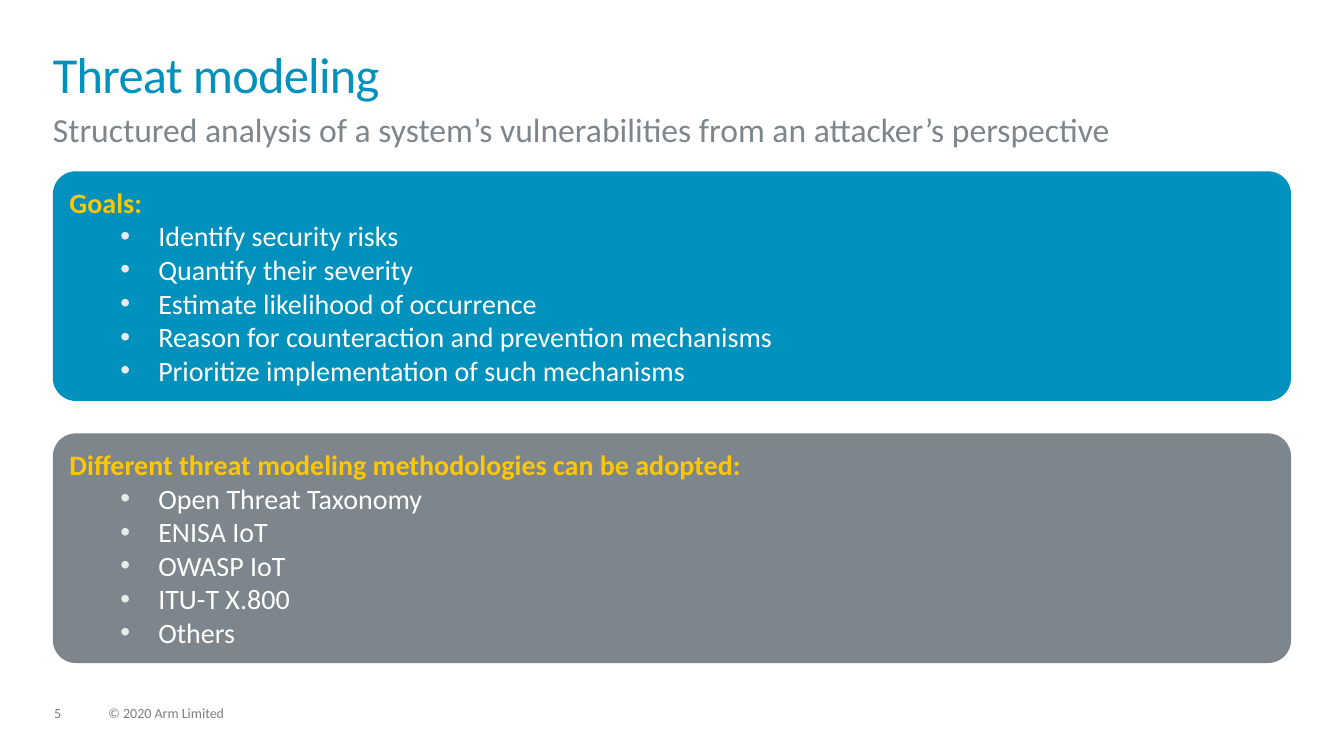
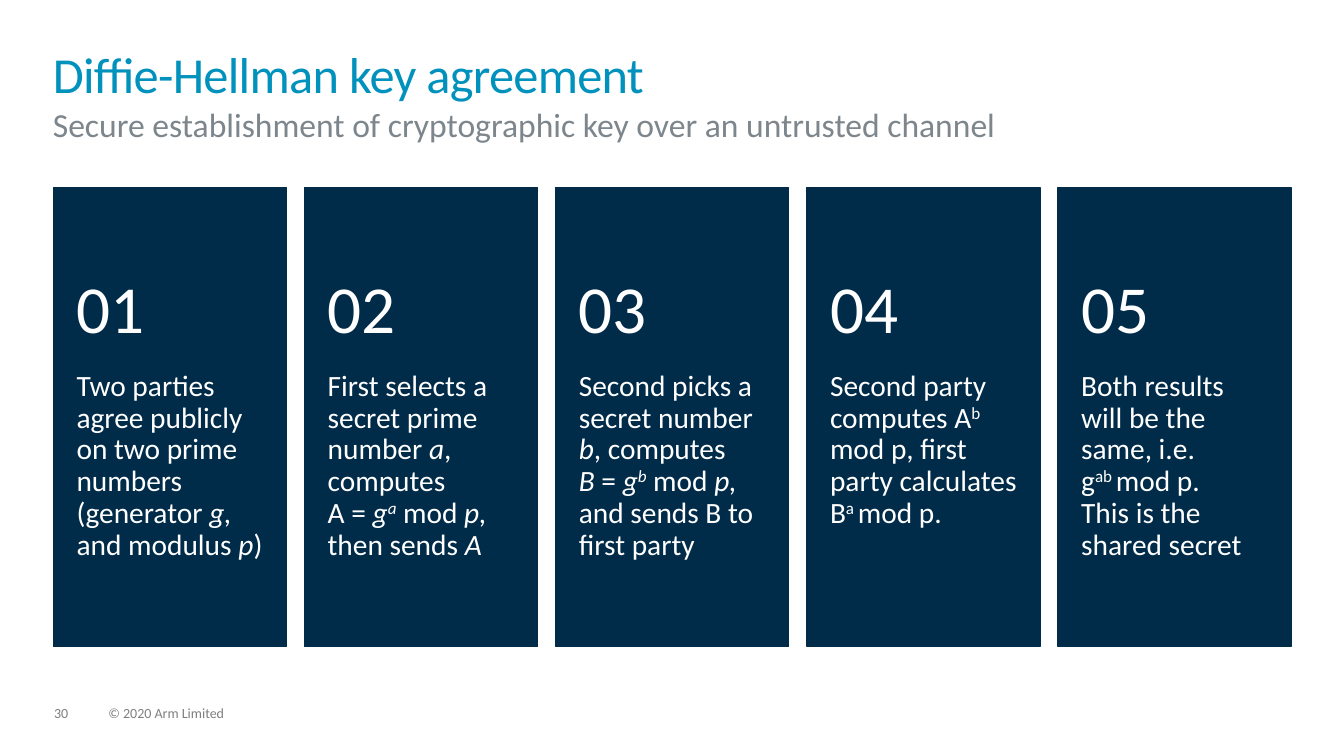
from pptx import Presentation
from pptx.dml.color import RGBColor
from pptx.enum.shapes import MSO_SHAPE
from pptx.enum.text import MSO_ANCHOR, PP_ALIGN
from pptx.oxml.ns import qn
from pptx.util import Pt
from lxml import etree

RECT = MSO_SHAPE.RECTANGLE
ROUND = MSO_SHAPE.ROUNDED_RECTANGLE
TOP = MSO_ANCHOR.TOP
MIDDLE = MSO_ANCHOR.MIDDLE
LEFT = PP_ALIGN.LEFT

HUES = {
    "blue": "0091BD",
    "gray": "7D868C",
    "foot": "7F7F7F",
    "navy": "002B49",
    "gold": "FFC700",
    "white": "FFFFFF",
    "dot": "E5ECEB",
}
FACE = "Calibri"
EDGE = 37.8
WIDE = 884.4


def hue(name):
    return RGBColor.from_string(HUES[name])


def add_dot(para, color):
    props = para._p.get_or_add_pPr()
    props.set("marL", str(Pt(63.4)))
    props.set("indent", str(Pt(-27)))
    tint = etree.SubElement(props, qn("a:buClr"))
    etree.SubElement(tint, qn("a:srgbClr")).set("val", HUES[color])
    etree.SubElement(props, qn("a:buFont")).set("typeface", "Arial")
    etree.SubElement(props, qn("a:buChar")).set("char", "•")


def write(frame, text, size=20, color="white", bold=False, lead=1.0,
          track=0, dot=None):
    """Underscores enclose italics; carets enclose superscripts."""
    para = frame.add_paragraph() if frame.text else frame.paragraphs[0]
    para.alignment = LEFT
    para.line_spacing = lead
    if dot:
        add_dot(para, dot)
    for i, part in enumerate(text.split("_")):
        for j, piece in enumerate(part.split("^")):
            for k, line in enumerate(piece.split("\n")):
                if k:
                    para.add_line_break()
                if not line:
                    continue
                run = para.add_run()
                run.text = line
                font = run.font
                font.name, font.size, font.bold = FACE, Pt(size), bold
                font.italic = i % 2 == 1
                font.color.rgb = hue(color)
                props = run._r.get_or_add_rPr()
                if j % 2:
                    props.set("baseline", "30000")
                if track:
                    props.set("spc", str(track))


class Deck:
    def __init__(self):
        self.prs = Presentation()
        self.prs.slide_width, self.prs.slide_height = Pt(960), Pt(540)
        self.slide = None

    def start(self, title, sub, page, lead=1.0):
        self.slide = self.prs.slides.add_slide(self.prs.slide_layouts[6])
        self.label(38.6, 504.5, 24.5, 11, str(page), size=10, color="foot", lead=0.9)
        self.label(77.4, 504.5, 123, 11, "© 2020 Arm Limited",
                   size=10, color="foot", lead=0.9)
        self.label(EDGE, 37.5, WIDE, 40.3, title,
                   size=36, color="blue", lead=0.85, track=-50)
        self.label(EDGE, 77.8, WIDE, 27.4, sub, size=24, color="gray", lead=lead)

    def label(self, x, y, w, h, text, pad=(0, 0, 0, 0), anchor=TOP, **style):
        box = self.slide.shapes.add_textbox(Pt(x), Pt(y), Pt(w), Pt(h))
        frame = box.text_frame
        frame.word_wrap = True
        frame.vertical_anchor = anchor
        (frame.margin_left, frame.margin_top,
         frame.margin_right, frame.margin_bottom) = map(Pt, pad)
        write(frame, text, **style)

    def shape(self, kind, x, y, w, h, fill, line=None):
        item = self.slide.shapes.add_shape(kind, Pt(x), Pt(y), Pt(w), Pt(h))
        item.shadow.inherit = False
        item.fill.solid()
        item.fill.fore_color.rgb = hue(fill)
        if line:
            item.line.color.rgb = hue(line)
            item.line.width = Pt(1)
        else:
            item.line.fill.background()
        return item

    def panel(self, y, fill, head, points):
        item = self.shape(ROUND, EDGE, y, WIDE, 164, fill)
        item.adjustments[0] = 0.1
        frame = item.text_frame
        frame.word_wrap = True
        frame.vertical_anchor = MIDDLE
        write(frame, head, color="gold", bold=True)
        for point in points:
            write(frame, point, dot="dot")

    def card(self, index, text):
        x, w = 38.2 + 179.4 * index, 166.4
        self.shape(RECT, x, 134, w, 328, "navy", line="navy")
        self.label(x, 265, w, 196.5, text, pad=(16.5, 0, 16, 26),
                   size=21, lead=0.9)
        self.label(x, 183, w, 80, f"{index + 1:02}", pad=(16.5, 13, 16.5, 13),
                   anchor=MIDDLE, size=48, lead=0.9)


def main():
    deck = Deck()
    deck.start("Threat modeling",
               "Structured analysis of a system’s vulnerabilities from an attacker’s perspective",
               5)
    deck.panel(122.4, "blue", "Goals:", [
        "Identify security risks",
        "Quantify their severity",
        "Estimate likelihood of occurrence",
        "Reason for counteraction and prevention mechanisms",
        "Prioritize implementation of such mechanisms",
    ])
    deck.panel(309.6, "gray", "Different threat modeling methodologies can be adopted:", [
        "Open Threat Taxonomy",
        "ENISA IoT",
        "OWASP IoT",
        "ITU-T X.800",
        "Others",
    ])

    deck.start("Diffie-Hellman key agreement",
               "Secure establishment of cryptographic key over an untrusted channel",
               30, lead=0.9)
    steps = [
        "Two parties agree publicly on two prime numbers (generator _g,_ and modulus _p_)",
        "First selects a secret prime number _a_, computes\n"
        "A = _g^a^_ mod _p,_ then sends _A_",
        "Second picks a secret number _b_, computes\n"
        "_B_ = _g^b^_ mod _p,_ and sends B to first party",
        "Second party computes A^b ^mod p, first party calculates\nB^a ^mod p.",
        "Both results will be the same, i.e.\ng^ab ^mod p.\nThis is the shared secret",
    ]
    for index, text in enumerate(steps):
        deck.card(index, text)
    deck.prs.save("out.pptx")


if __name__ == "__main__":
    main()
